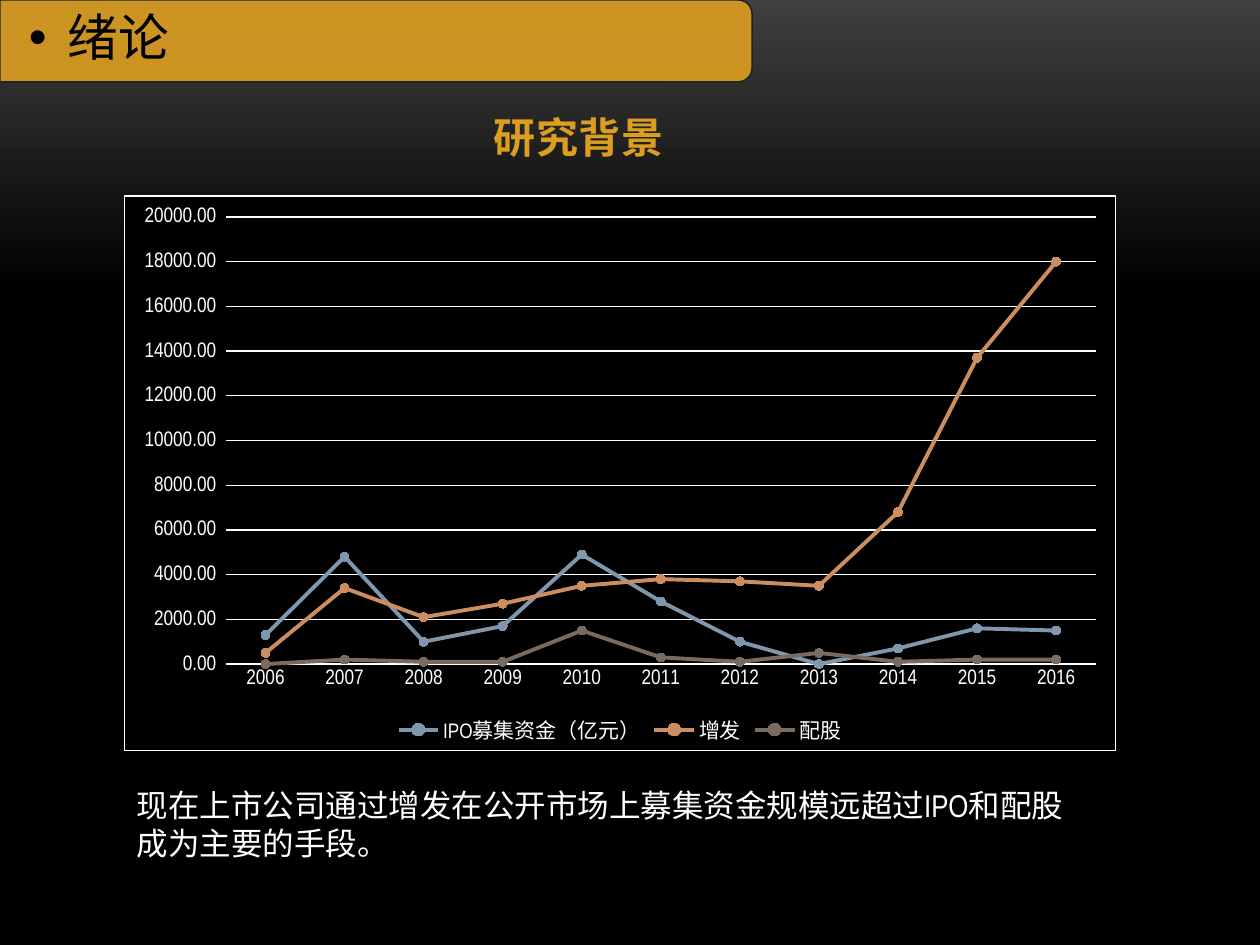
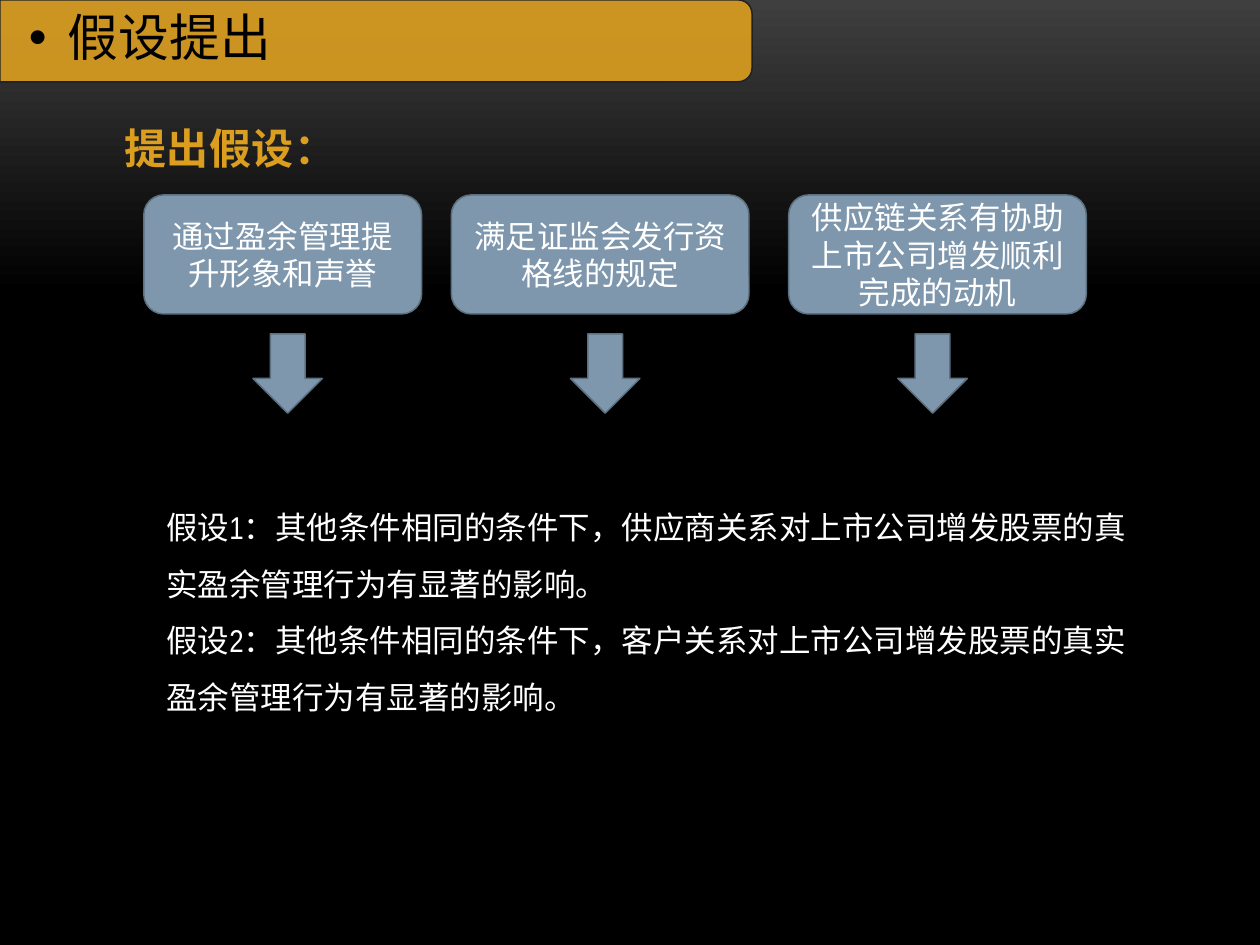
from lxml import etree
from pptx import Presentation
from pptx import util as u
from pptx.chart.data import CategoryChartData
from pptx.dml.color import RGBColor
from pptx.enum import chart as ch, shapes, text
from pptx.oxml import parse_xml
from pptx.oxml.ns import nsdecls, qn

FONT = "Arial Narrow"
GOLD, BLUE, BLUE_EDGE = "DC9E1F", "7E97AD", "5D7080"
WHITE, BLACK = "FFFFFF", "000000"
SERIES_COLOURS = [BLUE, "CC8E60", "7A6A60"]


def rgb(colour):
    return RGBColor.from_string(colour)


def box_cm(box):
    return [u.Cm(length) for length in box]


def place(part, box):
    part.left, part.top, part.width, part.height = box_cm(box)


def style_line(line, colour, width):
    line.color.rgb = rgb(colour)
    line.width = u.Pt(width)


def style_font(font, size, colour, bold=False):
    font.name, font.size, font.bold = FONT, u.Pt(size), bold
    font.color.rgb = rgb(colour)


def add_run(paragraph, words, size, colour, bold=False):
    run = paragraph.add_run()
    run.text = words
    style_font(run.font, size, colour, bold)
    return run


def set_bullet(paragraph, mark=None, indent=0):
    """Hanging bullet, or none at all when no mark is given."""
    props = paragraph._p.get_or_add_pPr()
    props.set("marL", str(u.Cm(indent)))
    props.set("indent", str(-u.Cm(indent)))
    if mark:
        etree.SubElement(props, qn("a:buFont")).set("typeface", "Arial")
        etree.SubElement(props, qn("a:buChar")).set("char", mark)
    else:
        etree.SubElement(props, qn("a:buNone"))


def add_preset(slide, preset, box, fill, edge):
    part = slide.shapes.add_shape(preset, *box_cm(box))
    part.shadow.inherit = False
    part.fill.solid()
    part.fill.fore_color.rgb = rgb(fill)
    style_line(part.line, edge, 0.85)
    return part


# Shared look: background, title band, heading, body text

def paint_background(master):
    fill = master.background.fill
    fill.gradient()
    fill.gradient_angle = 270
    for stop, colour, position in zip(fill.gradient_stops, ("3F3F3F", BLACK), (0, 0.31)):
        stop.color.rgb = rgb(colour)
        stop.position = position


def title_band(slide, box, words):
    left, top, width, height = box
    # The band stands upright and is turned so its round corners face right
    upright = (left + (width - height) / 2, top + (height - width) / 2, height, width)
    band = add_preset(slide, shapes.MSO_SHAPE.ROUND_2_SAME_RECTANGLE, upright, GOLD, "1F2123")
    band.rotation = 90
    tint = band._element.spPr.find(".//" + qn("a:srgbClr"))
    etree.SubElement(tint, qn("a:alpha")).set("val", "90000")
    slide.shapes._spTree.insert(2, band._element)

    title = slide.shapes.title
    place(title, (left, top + 0.08, width - 0.07, height - 0.18))
    frame = title.text_frame
    frame.auto_size = text.MSO_AUTO_SIZE.NONE
    frame.vertical_anchor = text.MSO_ANCHOR.MIDDLE
    frame.margin_left = u.Cm(0.58)
    frame.margin_top = frame.margin_right = frame.margin_bottom = u.Cm(0.05)
    line = frame.paragraphs[0]
    line.alignment = text.PP_ALIGN.LEFT
    line.line_spacing = 0.9
    set_bullet(line, "•", 0.79)
    add_run(line, words, 29, BLACK)


def heading(slide, box, words):
    frame = slide.shapes.add_textbox(*box_cm(box)).text_frame
    frame.word_wrap = True
    run = add_run(frame.paragraphs[0], words, 24, GOLD, bold=True)
    run.font._element.set("spc", "30")


def body_text(slide, box, statements, spacing=1.0):
    body = slide.placeholders[1]
    place(body, box)
    frame = body.text_frame
    frame.auto_size = text.MSO_AUTO_SIZE.NONE
    for number, words in enumerate(statements):
        line = frame.add_paragraph() if number else frame.paragraphs[0]
        line.line_spacing = spacing
        line.space_before = u.Pt(0)
        set_bullet(line)
        add_run(line, words, 18, WHITE)


def new_slide(deck, section):
    slide = deck.slides.add_slide(deck.slide_layouts[1])
    title_band(slide, (0, 0, 15.16, 1.65), section)
    return slide


# Regions of single slides

def funding_chart(slide, box, years, funding):
    data = CategoryChartData(number_format="0.00_ ")
    data.categories = years
    for name, amounts in funding.items():
        data.add_series(name, amounts)
    chart = slide.shapes.add_chart(ch.XL_CHART_TYPE.LINE_MARKERS, *box_cm(box), data).chart
    chart.has_title = False
    style_font(chart.font, 12, WHITE)
    chart.has_legend = True
    chart.legend.position = ch.XL_LEGEND_POSITION.BOTTOM
    chart.legend.include_in_layout = False

    # Black panel with a thin white border
    panel = parse_xml(
        f'<c:spPr {nsdecls("c", "a")}>'
        f'<a:solidFill><a:srgbClr val="{BLACK}"/></a:solidFill>'
        f'<a:ln w="9525"><a:solidFill><a:srgbClr val="{WHITE}"/></a:solidFill></a:ln>'
        '</c:spPr>')
    chart._chartSpace.find(qn("c:txPr")).addprevious(panel)

    years_axis, amount_axis = chart.category_axis, chart.value_axis
    for axis in (years_axis, amount_axis):
        axis.major_tick_mark = axis.minor_tick_mark = ch.XL_TICK_MARK.NONE
    style_line(years_axis.format.line, WHITE, 0.75)
    amount_axis.format.line.fill.background()
    style_line(amount_axis.major_gridlines.format.line, WHITE, 0.75)
    amount_axis.minimum_scale, amount_axis.maximum_scale = 0, 20000
    amount_axis.major_unit = 2000
    amount_axis.tick_labels.number_format = "0.00_ "
    amount_axis.tick_labels.number_format_is_linked = False

    chart.plots[0].vary_by_categories = False
    for series, colour in zip(chart.plots[0].series, SERIES_COLOURS):
        series.smooth = False
        style_line(series.format.line, colour, 2.25)
        marker = series.marker
        marker.style, marker.size = ch.XL_MARKER_STYLE.CIRCLE, 5
        marker.format.fill.solid()
        marker.format.fill.fore_color.rgb = rgb(colour)
        style_line(marker.format.line, colour, 0.75)


def motive(slide, box, words, arrow_shift):
    """A motive card with an arrow below it, shifted a little off its centre."""
    left, top, width, height = box
    card = add_preset(slide, shapes.MSO_SHAPE.ROUNDED_RECTANGLE, box, BLUE, BLUE_EDGE)
    card.text_frame.word_wrap = True
    card.text_frame.vertical_anchor = text.MSO_ANCHOR.MIDDLE
    line = card.text_frame.paragraphs[0]
    line.alignment = text.PP_ALIGN.CENTER
    add_run(line, words, 18, WHITE)
    arrow_width = 1.4
    arrow_left = left + (width - arrow_width) / 2 + arrow_shift
    add_preset(slide, shapes.MSO_SHAPE.DOWN_ARROW,
               (arrow_left, top + height + 0.4, arrow_width, 1.6), BLUE, BLUE_EDGE)


# Slides

def background_slide(deck):
    slide = new_slide(deck, "绪论")
    heading(slide, (9.7, 2.13, 5.2, 1.27), "研究背景")
    funding_chart(slide, (2.5, 3.94, 20, 11.2), [str(year) for year in range(2006, 2017)], {
        "IPO募集资金（亿元）": [1300, 4800, 1000, 1700, 4900, 2800, 1000, 0, 700, 1600, 1500],
        "增发": [500, 3400, 2100, 2700, 3500, 3800, 3700, 3500, 6800, 13700, 18000],
        "配股": [0, 200, 100, 100, 1500, 300, 100, 500, 100, 200, 200],
    })
    body_text(slide, (2.5, 15.72, 19.8, 1.8),
              ["现在上市公司通过增发在公开市场上募集资金规模远超过IPO和配股成为主要的手段。"])


def hypothesis_slide(deck):
    slide = new_slide(deck, "假设提出")
    heading(slide, (2.26, 2.34, 5.2, 1.27), "提出假设：")
    motives = [
        (2.9, 5.6, "通过盈余管理提升形象和声誉", 0.1),
        (9.1, 6, "满足证监会发行资格线的规定", 0.1),
        (15.9, 6, "供应链关系有协助上市公司增发顺利完成的动机", -0.1),
    ]
    for left, width, words, arrow_shift in motives:
        motive(slide, (left, 3.93, width, 2.4), words, arrow_shift)
    body_text(slide, (3.1, 9.73, 20, 5), [
        "假设1：其他条件相同的条件下，供应商关系对上市公司增发股票的真实盈余管理行为有显著的影响。",
        "假设2：其他条件相同的条件下，客户关系对上市公司增发股票的真实盈余管理行为有显著的影响。",
    ], spacing=1.5)


deck = Presentation()
deck.slide_width, deck.slide_height = u.Cm(25.4), u.Cm(19.05)
paint_background(deck.slide_master)
background_slide(deck)
hypothesis_slide(deck)
deck.save("out.pptx")
